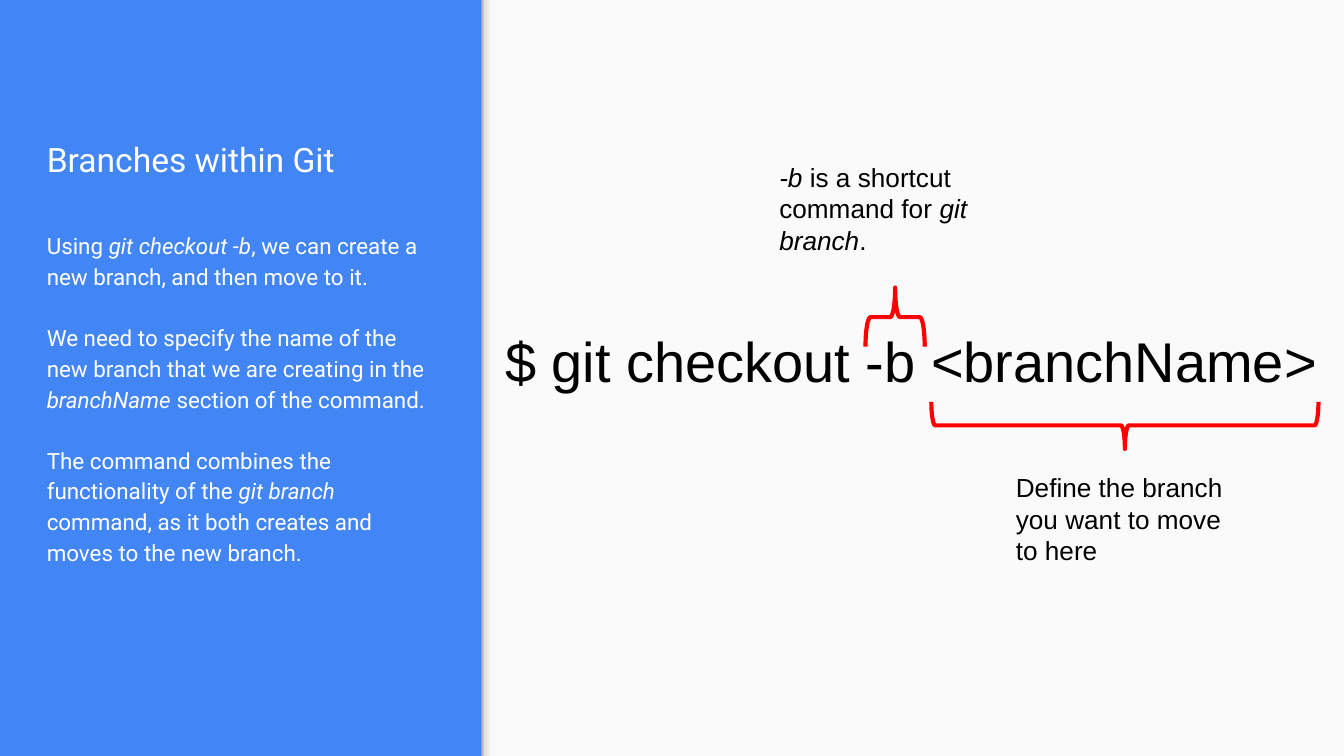
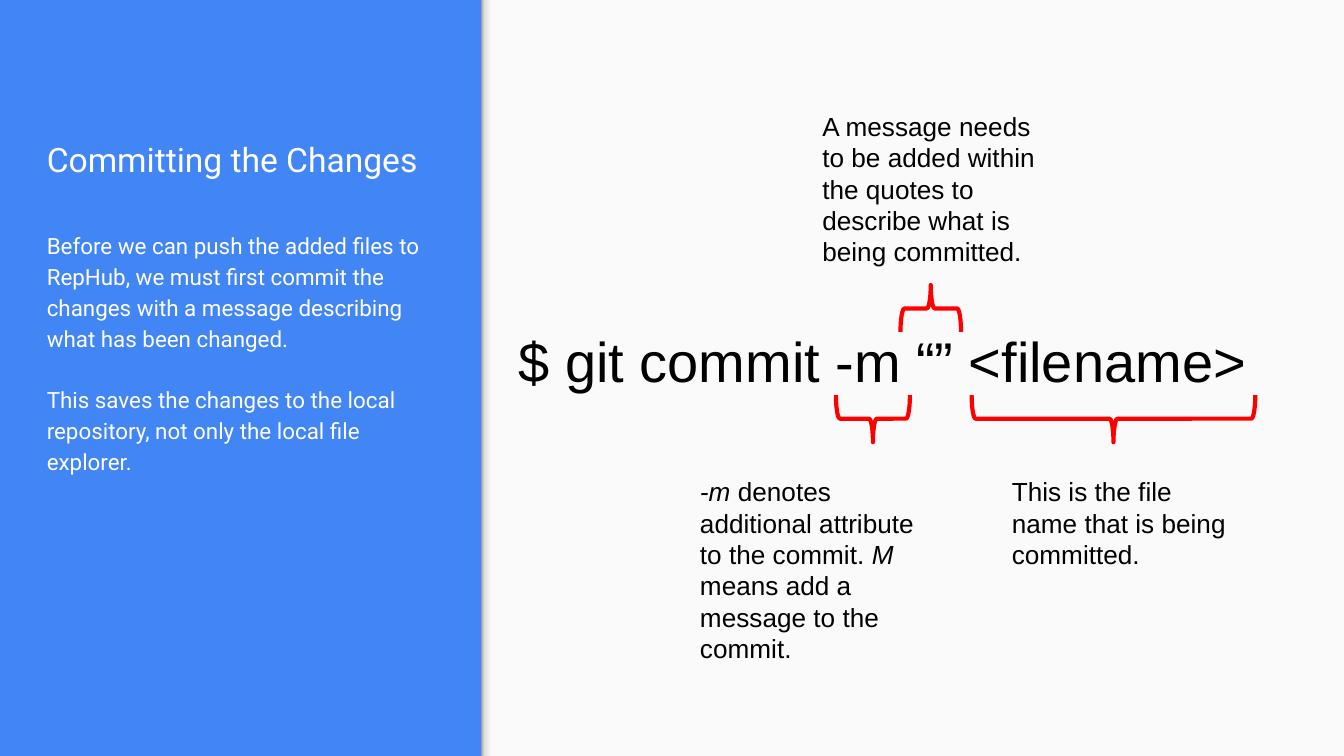
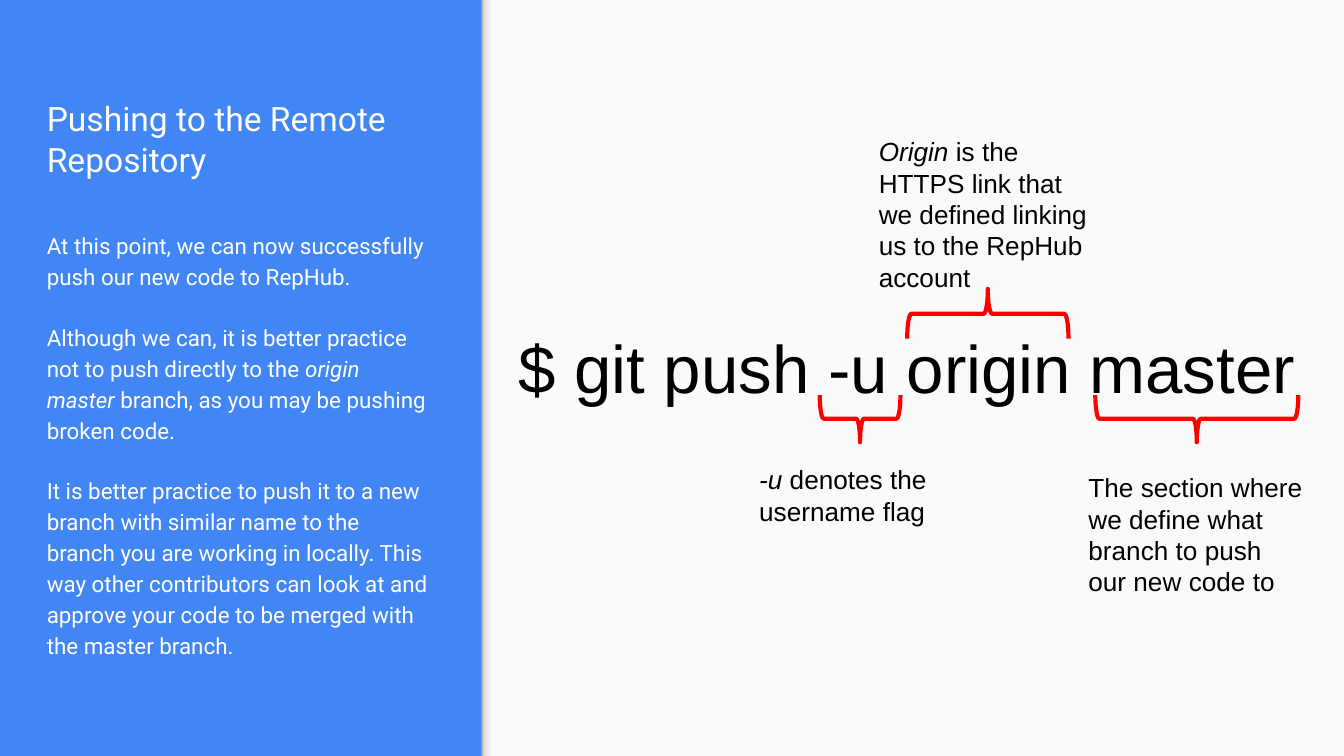
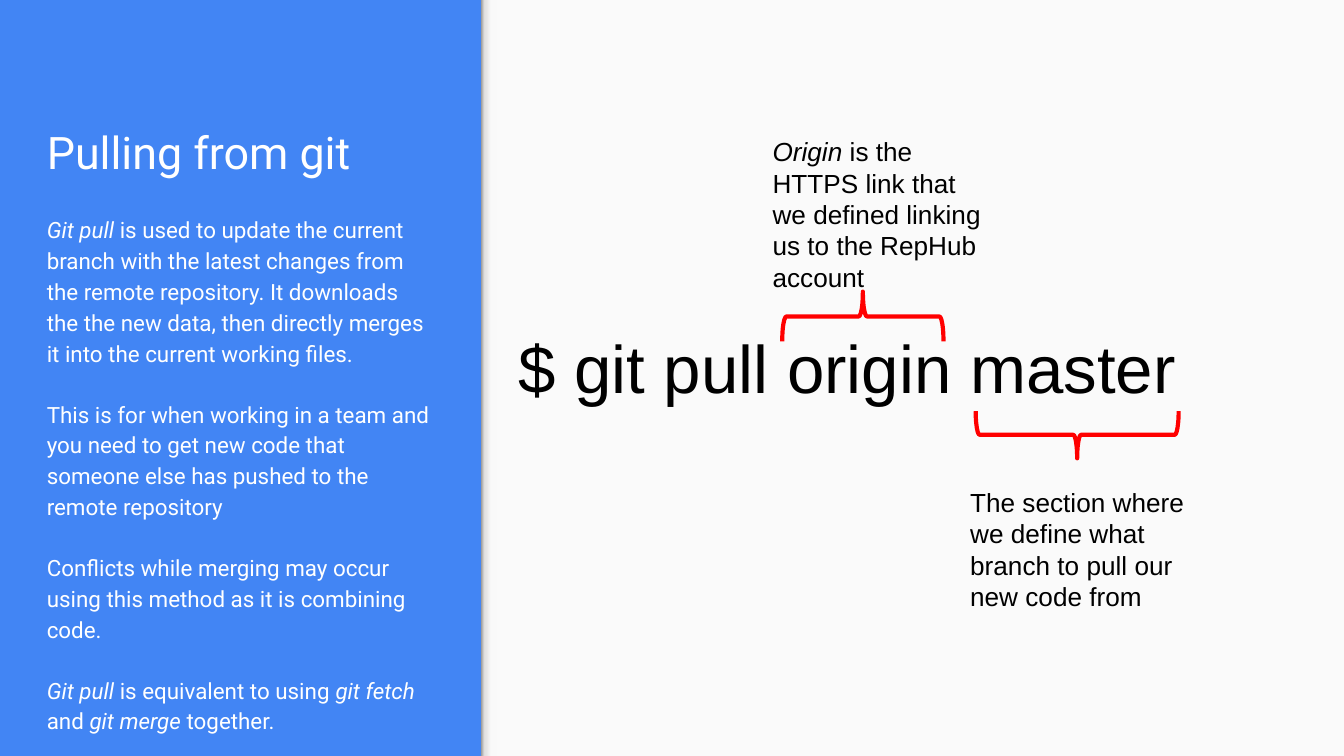
import pptx
import pptx.dml.color
import pptx.enum.shapes
import pptx.enum.text
import pptx.oxml.ns
import pptx.util
from lxml import etree
from pptx.dml.color import RGBColor
from pptx.util import Inches

BLUE = RGBColor(0x42, 0x85, 0xF4)
PAPER = RGBColor(0xFA, 0xFA, 0xFA)
WHITE = RGBColor(0xFF, 0xFF, 0xFF)
BLACK = RGBColor(0x00, 0x00, 0x00)
RED = RGBColor(0xFF, 0x00, 0x00)
EDGE_STOPS = [
    (0, RGBColor(0x99, 0x99, 0x99)),
    (20, RGBColor(0xDE, 0xDE, 0xDE)),
    (64, RGBColor(0xF9, 0xF9, 0xF9)),
    (100, RGBColor(0xF9, 0xF9, 0xF9)),
]

SLIDE_W = 10
SLIDE_H = SLIDE_W * 9 / 16
SIDEBAR_W = 3.58
SIDEBAR = (0, 0, SIDEBAR_W, SLIDE_H)
PANEL = (SIDEBAR_W, 0, SLIDE_W - SIDEBAR_W, SLIDE_H)
EDGE_W = 0.12
COMMAND_Y, COMMAND_H = 2.33, 0.96
NOTE_W, NOTE_H = 1.82, 1.04

SIDEBAR_FONT = {"name": "Roboto", "color": WHITE}
PANEL_FONT = {"name": "Arial", "color": BLACK}
BODY_SPACING = {"line_spacing": 1.15}
GAP_BEFORE = {"space_before": pptx.util.Pt(16)}

SLIDES = [
    {
        "title": "Branches within Git",
        "body": [
            "Using *git checkout -b*, we can create a new branch, and then move to it.",
            "We need to specify the name of the new branch that we are creating in the "
            "*branchName* section of the command.",
            "The command combines the functionality of the *git branch* command, "
            "as it both creates and moves to the new branch.",
        ],
        "command": "$ git checkout -b <branchName>",
        "command_size": 30,
        "command_span": (0.08, 6.27),
        "callouts": [
            ((3.35, 2.99, 2.88, 0.35), (3.88, 3.41),
             "Define the branch you want to move to here"),
            ((2.86, 2.14, 0.44, 0.44), (2.12, 1.1),
             "*-b* is a shortcut command for *git branch*."),
        ],
    },
    {
        "title": "Committing the Changes",
        "body": [
            "Before we can push the added files to RepHub, we must first commit the "
            "changes with a message describing what has been changed.",
            "This saves the changes to the local repository, not only the local file explorer.",
        ],
        "command": "$ git commit -m “” <filename>",
        "command_size": 30,
        "callouts": [
            ((2.64, 2.94, 0.55, 0.35), (1.53, 3.44),
             "*-m* denotes additional attribute to the commit. *M *means add a "
             "message to the commit."),
            ((3.12, 2.12, 0.45, 0.35), (2.44, 0.72),
             "A message needs to be added within the quotes to describe what is "
             "being committed."),
            ((3.65, 2.94, 2.11, 0.35), (3.85, 3.44),
             "This is the file name that is being committed."),
        ],
    },
    {
        "title": "Pushing to the Remote Repository",
        "body": [
            "At this point, we can now successfully push our new code to RepHub.",
            "Although we can, it is better practice not to push directly to the "
            "*origin master* branch, as you may be pushing broken code.",
            "It is better practice to push it to a new branch with similar name to the "
            "branch you are working in locally. This way other contributors can look at "
            "and approve your code to be merged with the master branch.",
        ],
        "command": "$ git push -u origin master",
        "callouts": [
            ((2.52, 2.94, 0.6, 0.35), (1.97, 3.35),
             "*-u* denotes the username flag"),
            ((3.17, 2.15, 1.2, 0.37), (2.86, 0.91),
             "*Origin* is the HTTPS link that we defined linking us to the RepHub account"),
            ((4.57, 2.94, 1.51, 0.35), (4.42, 3.41),
             "The section where we define what branch to push our new code to"),
        ],
    },
    {
        "title": "Pulling from git",
        "title_size": 24,
        "body_span": (1.48, 3.86),
        "body": [
            "*Git pull* is used to update the current branch with the latest changes from "
            "the remote repository. It downloads the the new data, then directly merges "
            "it into the current working files.",
            "This is for when working in a team and you need to get new code that someone "
            "else has pushed to the remote repository",
            "Conflicts while merging may occur using this method as it is combining code.",
            "*Git pull* is equivalent to using *git fetch* and *git merge* together.",
        ],
        "command": "$ git pull origin master",
        "callouts": [
            ((2.24, 2.17, 1.2, 0.37), (2.07, 0.91),
             "*Origin* is the HTTPS link that we defined linking us to the RepHub account"),
            ((3.68, 3.06, 1.51, 0.35), (3.54, 3.52),
             "The section where we define what branch to pull our new code from"),
        ],
    },
]


def set_attrs(obj, values):
    for name, value in values.items():
        setattr(obj, name, value)


def add_runs(p, text, size, font):
    for i, part in enumerate(text.split("*")):
        if not part:
            continue
        r = p.add_run()
        r.text = part
        r.font.color.rgb = font["color"]
        set_attrs(r.font, {"name": font["name"], "size": pptx.util.Pt(size),
                           "italic": i % 2 == 1})


def add_text(s, box, paragraphs, size, font, spacing=None,
             anchor=pptx.enum.text.MSO_ANCHOR.TOP):
    tf = s.shapes.add_textbox(*map(Inches, box)).text_frame
    margins = ("margin_left", "margin_top", "margin_right", "margin_bottom")
    set_attrs(tf, {"word_wrap": True, "vertical_anchor": anchor,
                   **dict.fromkeys(margins, Inches(0.1))})
    for i, text in enumerate(paragraphs):
        p = tf.add_paragraph() if i else tf.paragraphs[0]
        set_attrs(p, {**(spacing or {}), **(GAP_BEFORE if i else {})})
        add_runs(p, text, size, font)


def add_rect(s, box):
    sp = s.shapes.add_shape(pptx.enum.shapes.MSO_SHAPE.RECTANGLE, *map(Inches, box))
    sp.shadow.inherit = False
    sp.line.fill.background()
    return sp


def add_backdrop(s, box):
    x, y, w, h = box
    s.background.fill.solid()
    s.background.fill.fore_color.rgb = BLUE
    panel = add_rect(s, box)
    panel.fill.solid()
    panel.fill.fore_color.rgb = PAPER

    edge = add_rect(s, (x, y, EDGE_W, h))
    edge.fill.gradient()
    edge.fill.gradient_angle = 0
    qn = pptx.oxml.ns.qn
    stops = edge.element.spPr.find(qn("a:gradFill")).find(qn("a:gsLst"))
    for stop in list(stops):
        stops.remove(stop)
    for pos, color in EDGE_STOPS:
        stop = etree.SubElement(stops, qn("a:gs"), pos=str(pos * 1000))
        etree.SubElement(stop, qn("a:srgbClr"), val=str(color))


def add_sidebar(s, box, content):
    x, y, w, h = box
    left, width = x + 0.25, w - 0.51
    body_y, body_h = content.get("body_span", (1.6, 3.46))
    add_text(s, (left, y + 0.39, width, 1.04), [content["title"]],
             content.get("title_size", 18), SIDEBAR_FONT,
             anchor=pptx.enum.text.MSO_ANCHOR.BOTTOM)
    add_text(s, (left, y + body_y, width, body_h), content["body"], 12,
             SIDEBAR_FONT, BODY_SPACING)


def add_brace(s, box, points_up):
    x, y, w, h = box
    unrotated = (x + (w - h) / 2, y + (h - w) / 2, h, w)
    sp = s.shapes.add_shape(pptx.enum.shapes.MSO_SHAPE.LEFT_BRACE,
                            *map(Inches, unrotated))
    sp.shadow.inherit = False
    sp.rotation = 90 if points_up else 270
    sp.adjustments[0] = 0.083
    sp.fill.background()
    sp.line.color.rgb = RED
    sp.line.width = pptx.util.Pt(2.25)


def add_command(s, box, content):
    x, y, w, h = box
    dx, width = content.get("command_span", (0.18, 6.06))
    add_text(s, (x + dx, y + COMMAND_Y, width, COMMAND_H), [content["command"]],
             content.get("command_size", 36), PANEL_FONT)
    for (bx, by, bw, bh), (nx, ny), note in content["callouts"]:
        add_brace(s, (x + bx, y + by, bw, bh), ny < COMMAND_Y)
        add_text(s, (x + nx, y + ny, NOTE_W, NOTE_H), [note], 14, PANEL_FONT)


def main():
    prs = pptx.Presentation()
    set_attrs(prs, {"slide_width": Inches(SLIDE_W), "slide_height": Inches(SLIDE_H)})
    for content in SLIDES:
        s = prs.slides.add_slide(prs.slide_layouts[6])
        add_backdrop(s, PANEL)
        add_sidebar(s, SIDEBAR, content)
        add_command(s, PANEL, content)
    prs.save("out.pptx")


if __name__ == "__main__":
    main()
